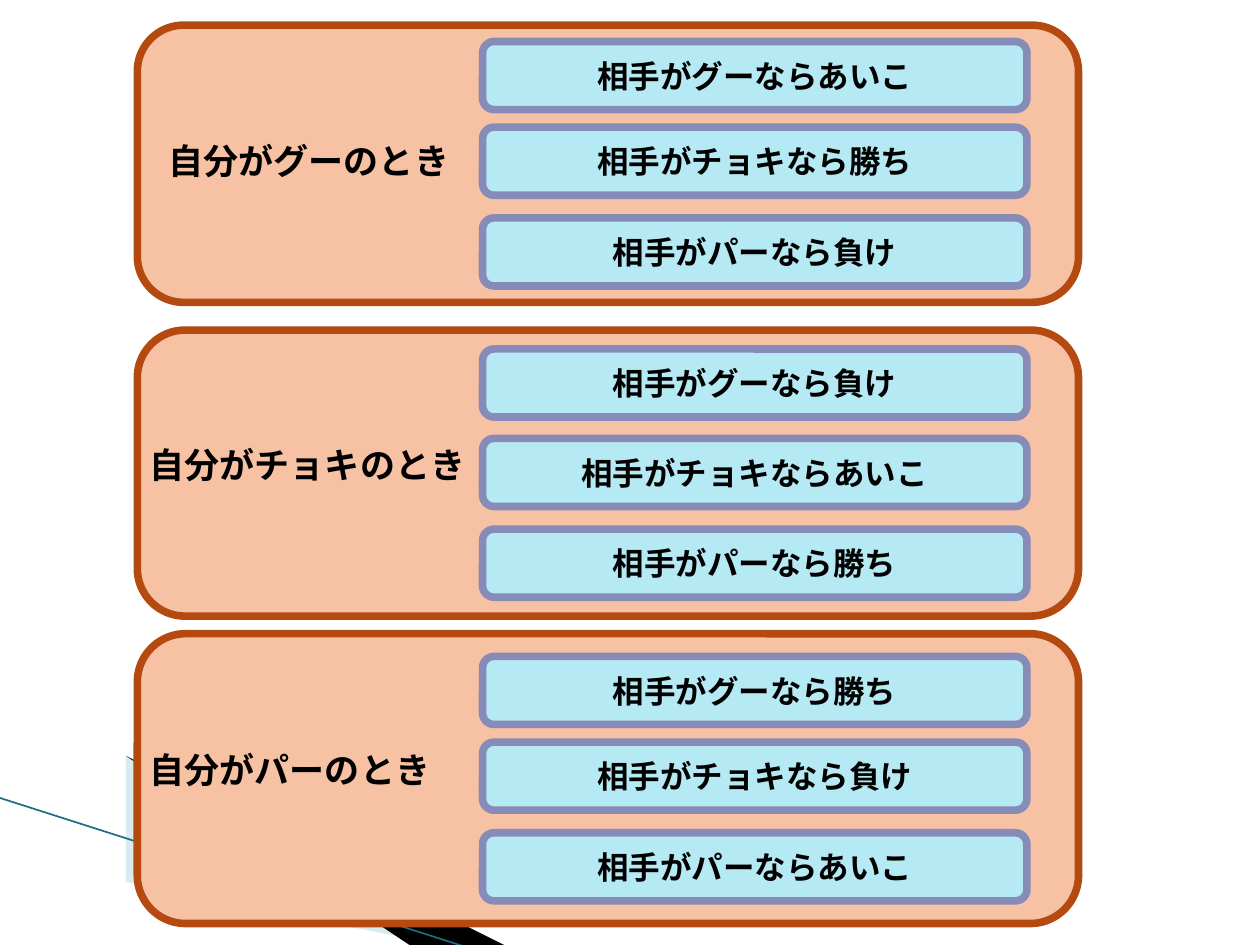
from dataclasses import dataclass

from lxml.etree import SubElement
from pptx import Presentation
from pptx.dml.color import RGBColor
from pptx.enum.lang import MSO_LANGUAGE_ID
from pptx.enum.shapes import MSO_CONNECTOR, MSO_SHAPE
from pptx.enum.text import MSO_ANCHOR, MSO_AUTO_SIZE, PP_ALIGN
from pptx.oxml.ns import qn
from pptx.util import Inches, Pt


@dataclass(frozen=True)
class Theme:
    """Colours, type sizes and line widths of the slide."""
    font: str = "DejaVu Sans Mono"
    text: str = "000000"
    panel: str = "F7C1A4"
    panel_line: str = "B54A10"
    card: str = "B5E9F4"
    card_line: str = "878BB8"
    wave: str = "A0CBDC"
    shade: str = "000000"
    edge: str = "1B6E80"
    label_size: int = 20
    card_size: int = 18
    border: float = 4.33
    edge_width: float = 0.95


T = Theme()
PANEL_X, PANEL_W = 1.09, 7.47
CARD_X, CARD_W, CARD_H = 3.83, 4.32, 0.54
LABEL_H = 0.44

# panel top and height, label text, left and top, card tops and texts
HANDS = [
    (0.2, 2.2, ("自分がグーのとき", 1.24, 1.06),
     [(0.33, "相手がグーならあいこ"), (1.01, "相手がチョキなら勝ち"), (1.73, "相手がパーなら負け")]),
    (2.62, 2.27, ("自分がチョキのとき", PANEL_X, 3.47),
     [(2.77, "相手がグーなら負け"), (3.48, "相手がチョキならあいこ"), (4.2, "相手がパーなら勝ち")]),
    (5.03, 2.3, ("自分がパーのとき", PANEL_X, 5.89),
     [(5.21, "相手がグーなら勝ち"), (5.89, "相手がチョキなら負け"), (6.61, "相手がパーならあいこ")]),
]


def rgb(color):
    """Turn a hex string into a colour."""
    return RGBColor.from_string(color)


def write(tf, text, size, align):
    """Put one bold paragraph into a text frame."""
    tf.word_wrap = True
    p = tf.paragraphs[0]
    p.text, p.alignment = text, align
    font = p.font
    font.name, font.size, font.bold = T.font, Pt(size), True
    font.color.rgb = rgb(T.text)
    font.language_id = MSO_LANGUAGE_ID.JAPANESE
    ea = SubElement(p._p.pPr.find(qn("a:defRPr")), qn("a:ea"))
    ea.set("typeface", T.font)


def add_box(s, x, y, w, h, fill, line):
    """Add a bordered rounded rectangle."""
    sp = s.shapes.add_shape(MSO_SHAPE.ROUNDED_RECTANGLE,
                            Inches(x), Inches(y), Inches(w), Inches(h))
    sp.shadow.inherit = False
    sp.fill.solid()
    sp.fill.fore_color.rgb = rgb(fill)
    sp.line.color.rgb = rgb(line)
    sp.line.width = Pt(T.border)
    return sp


def add_card(s, y, text):
    """Add an outcome card."""
    tf = add_box(s, CARD_X, y, CARD_W, CARD_H, T.card, T.card_line).text_frame
    tf.vertical_anchor = MSO_ANCHOR.MIDDLE
    write(tf, text, T.card_size, PP_ALIGN.CENTER)


def add_label(s, text, x, y):
    """Add a label that reaches up to the cards."""
    tf = s.shapes.add_textbox(Inches(x), Inches(y),
                              Inches(CARD_X - x), Inches(LABEL_H)).text_frame
    write(tf, text, T.label_size, PP_ALIGN.LEFT)
    tf.auto_size = MSO_AUTO_SIZE.SHAPE_TO_FIT_TEXT


def add_wave(s, points, color, opacity=100):
    """Add a filled outline without a border."""
    fb = s.shapes.build_freeform(*points[0], scale=Inches(1))
    fb.add_line_segments(points[1:], close=True)
    sp = fb.convert_to_shape()
    sp.shadow.inherit = False
    sp.fill.solid()
    sp.fill.fore_color.rgb = rgb(color)
    sp.line.fill.background()
    if opacity < 100:
        clr = sp._element.spPr.find(qn("a:solidFill"))[0]
        SubElement(clr, qn("a:alpha")).set("val", str(opacity * 1000))


def add_edge(s, x1, y1, x2, y2):
    """Add the thin line along the wave."""
    cx = s.shapes.add_connector(MSO_CONNECTOR.STRAIGHT,
                                Inches(x1), Inches(y1), Inches(x2), Inches(y2))
    cx.line.color.rgb = rgb(T.edge)
    cx.line.width = Pt(T.edge_width)
    SubElement(cx._element.spPr, qn("a:effectLst"))


def main():
    """Build and save the slide."""
    prs = Presentation()
    prs.slide_width, prs.slide_height = Inches(10), Inches(7.5)
    s = prs.slides.add_slide(prs.slide_layouts[6])
    add_wave(s, [(0.55, 6.51), (5.95, 7.51), (4.56, 7.51), (0.55, 6.5)], T.wave, 40)
    add_wave(s, [(0.53, 6.49), (4.57, 7.51), (3.72, 7.52), (0.54, 6.5)], T.shade)
    add_edge(s, -0.01, 6.33, 3.71, 7.52)
    for top, height, label, cards in HANDS:
        add_box(s, PANEL_X, top, PANEL_W, height, T.panel, T.panel_line)
        for y, text in cards:
            add_card(s, y, text)
        add_label(s, *label)
    prs.save("out.pptx")


if __name__ == "__main__":
    main()
